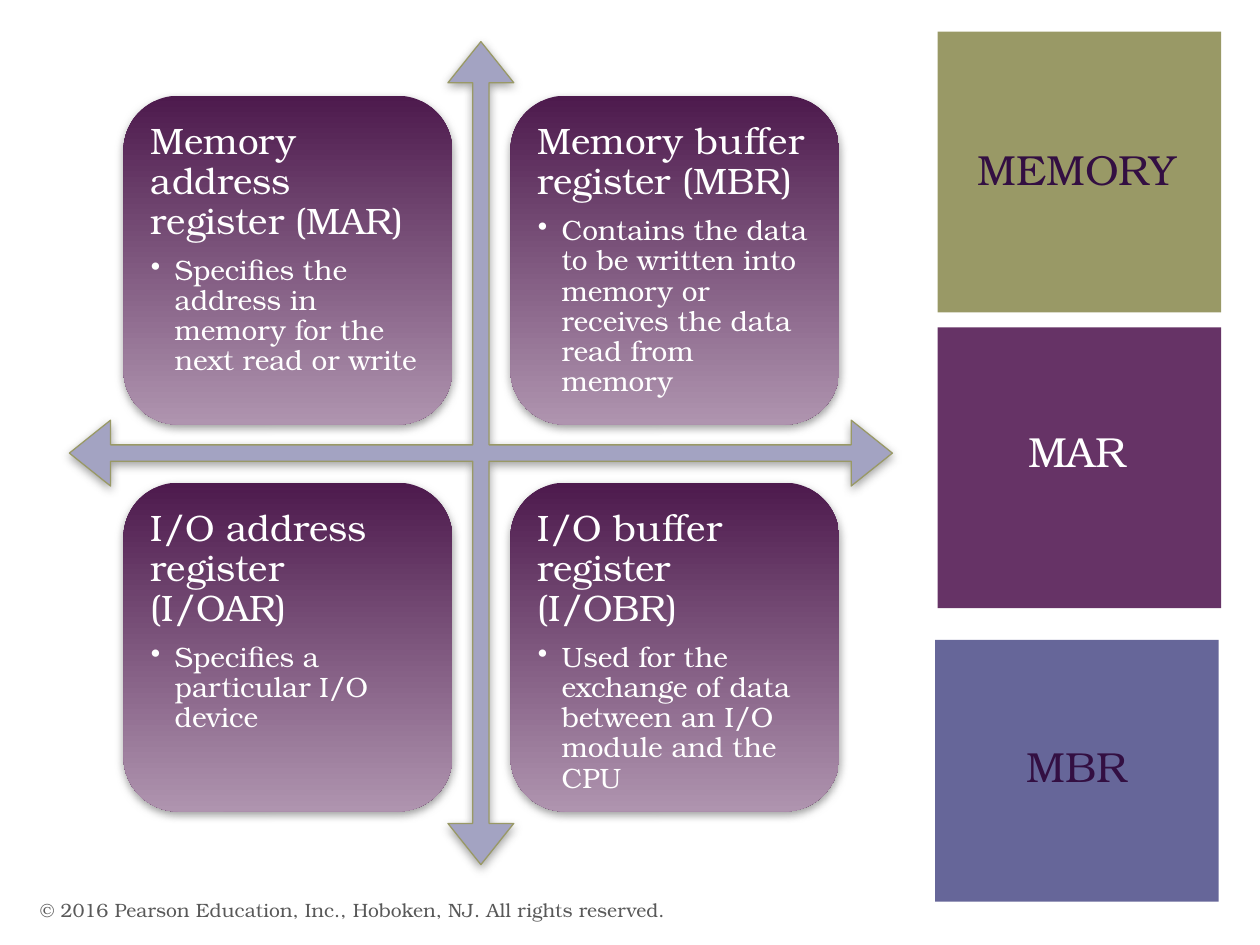
from lxml import etree
from pptx import Presentation
from pptx.dml.color import RGBColor
from pptx.enum.shapes import MSO_SHAPE
from pptx.enum.text import MSO_ANCHOR, PP_ALIGN
from pptx.oxml.ns import qn
from pptx.util import Cm, Pt

RECT, ROUNDED, QUAD_ARROW = MSO_SHAPE.RECTANGLE, MSO_SHAPE.ROUNDED_RECTANGLE, MSO_SHAPE.QUAD_ARROW
TOP, MIDDLE, BOTTOM = MSO_ANCHOR.TOP, MSO_ANCHOR.MIDDLE, MSO_ANCHOR.BOTTOM
LEFT, CENTER = PP_ALIGN.LEFT, PP_ALIGN.CENTER
TITLE_ONLY = 5
WHITE, PLUM, GREY = "FFFFFF", "330F42", "595959"


def rgb(value):
    return RGBColor.from_string(value)


class SlideBuilder:
    font = "TeX Gyre Bonum"
    card_colors = ("4D1A4D", "AF94AF")

    def __init__(self, slide):
        self.slide = slide

    def format_text(self, paragraph, size, color, align=LEFT):
        paragraph.alignment = align
        for run in paragraph.runs:
            run.font.name = self.font
            run.font.size = Pt(size)
            run.font.color.rgb = rgb(color)

    def shape(self, kind, left, top, width, height, fill=None):
        shape = self.slide.shapes.add_shape(kind, Cm(left), Cm(top), Cm(width), Cm(height))
        shape.shadow.inherit = False
        shape.line.fill.background()
        if fill:
            shape.fill.solid()
            shape.fill.fore_color.rgb = rgb(fill)
        return shape

    def soft_shadow(self, shape):
        effects = shape.element.spPr.find(qn("a:effectLst"))
        shadow = etree.SubElement(effects, qn("a:outerShdw"), blurRad=str(Pt(5)),
                                  dist=str(Pt(2)), dir="5400000", rotWithShape="0")
        color = etree.SubElement(shadow, qn("a:srgbClr"), val="808080")
        etree.SubElement(color, qn("a:alpha"), val="75000")

    def cross(self, left, top, size, fill, outline):
        cross = self.shape(QUAD_ARROW, left, top, size, size, fill)
        for index, ratio in enumerate((0.02, 0.04, 0.05)):
            cross.adjustments[index] = ratio
        cross.line.color.rgb = rgb(outline)
        cross.line.width = Pt(0.75)
        self.soft_shadow(cross)

    def card(self, left, top, size, heading, detail):
        card = self.shape(ROUNDED, left, top, size, size)
        card.fill.gradient()
        card.fill.gradient_angle = 270
        for stop, color in zip(card.fill.gradient_stops, self.card_colors):
            stop.color.rgb = rgb(color)
        self.soft_shadow(card)

        frame = card.text_frame
        frame.word_wrap = True
        frame.vertical_anchor = TOP
        frame.margin_left = frame.margin_right = Cm(0.23)
        frame.margin_top = frame.margin_bottom = Cm(0.23)
        name, purpose = frame.paragraphs[0], frame.add_paragraph()
        name.text, purpose.text = heading, detail
        purpose.level = 1
        self.bullet(purpose, 0.48)
        for paragraph, size, after in ((name, 21, 8), (purpose, 16, 2.5)):
            paragraph.line_spacing = 0.9
            paragraph.space_after = Pt(after)
            self.format_text(paragraph, size, WHITE)

    def bullet(self, paragraph, indent):
        properties = paragraph._p.get_or_add_pPr()
        properties.set("marL", str(Cm(indent)))
        properties.set("indent", str(-Cm(indent)))
        etree.SubElement(properties, qn("a:buChar"), char="•")

    def label(self, left, top, width, height, text, size, color, align=CENTER, anchor=TOP):
        box = self.slide.shapes.add_textbox(Cm(left), Cm(top), Cm(width), Cm(height))
        box.text_frame.word_wrap = True
        box.text_frame.vertical_anchor = anchor
        box.text_frame.text = text
        self.format_text(box.text_frame.paragraphs[0], size, color, align)

    def title(self, left, top, width, height, text, size, color):
        title = self.slide.shapes.title
        title.left, title.top, title.width, title.height = map(Cm, (left, top, width, height))
        title.text_frame.text = text
        title.text_frame.vertical_anchor = BOTTOM
        self.format_text(title.text_frame.paragraphs[0], size, color, CENTER)
        # Bring the title in front of its tile
        title.element.getparent().append(title.element)


def main():
    presentation = Presentation()
    presentation.slide_width, presentation.slide_height = Cm(25.4), Cm(19.05)
    layout = presentation.slide_layouts[TITLE_ONLY]
    builder = SlideBuilder(presentation.slides.add_slide(layout))

    # Tiles on the right
    tile_width, label_left = 5.72, 18.85
    builder.shape(RECT, 18.9, 0.64, tile_width, 5.66, "999966")
    builder.shape(RECT, 18.9, 6.6, tile_width, 5.66, "663366")
    builder.shape(RECT, label_left, 12.9, tile_width, 5.28, "666699")
    builder.title(label_left, 1.7, tile_width, 2.34, "MEMORY", 24, PLUM)
    builder.label(label_left, 8.46, tile_width, 1.27, "MAR", 24, WHITE)
    builder.label(label_left, 14.81, tile_width, 1.27, "MBR", 24, PLUM)

    # Register matrix
    builder.cross(1.4, 0.84, 16.59, "A3A3C2", "999966")
    registers = (
        ("Memory address register (MAR)",
         "Specifies the address in memory for the next read or write"),
        ("Memory buffer register (MBR)",
         "Contains the data to be written into memory or receives the data read from memory"),
        ("I/O address register (I/OAR)",
         "Specifies a particular I/O device"),
        ("I/O buffer register (I/OBR)",
         "Used for the exchange of data between an I/O module and the CPU"),
    )
    card_size, pitch = 6.63, 7.8
    for index, (heading, detail) in enumerate(registers):
        row, column = divmod(index, 2)
        builder.card(2.49 + column * pitch, 1.93 + row * pitch, card_size, heading, detail)

    # Copyright line
    builder.label(0.56, 17.83, 17.02, 1.02,
                  "© 2016 Pearson Education, Inc., Hoboken, NJ. All rights reserved.",
                  11, GREY, LEFT, MIDDLE)

    presentation.save("out.pptx")


if __name__ == "__main__":
    main()
